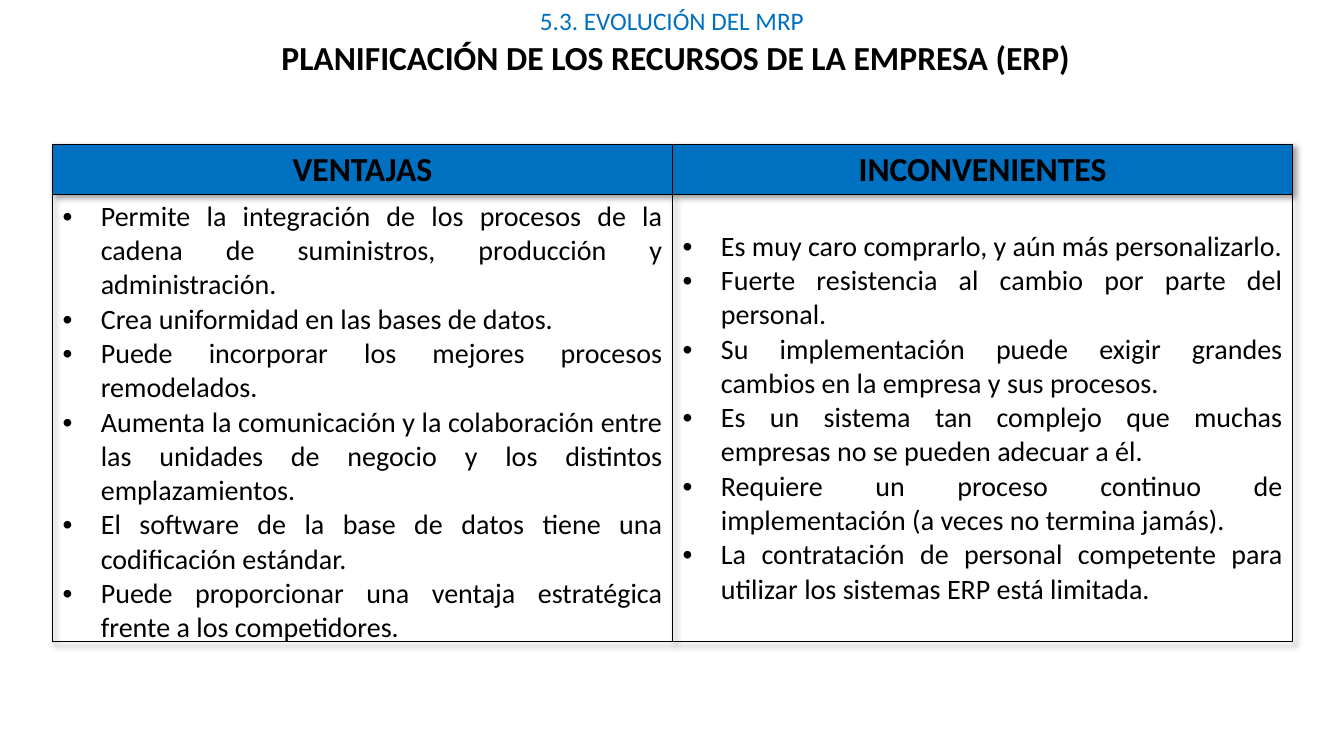
import pptx
import pptx.util
import pptx.dml.color
import pptx.enum.text
import pptx.oxml
import pptx.oxml.ns

PX = 9144
COLORS = {"blue": "0070C0", "black": "000000"}
ALIGN = pptx.enum.text.PP_ALIGN
ANCHOR = pptx.enum.text.MSO_ANCHOR
FORMATS = {
    "section": {"size": 18, "bold": False, "color": "blue", "alignment": ALIGN.CENTER},
    "title": {"size": 24, "bold": True, "color": "black", "alignment": ALIGN.CENTER},
    "item": {"size": 20, "bold": False, "color": "black", "alignment": ALIGN.JUSTIFY},
}
COLUMNS = {
    "VENTAJAS": [
        "Permite la integración de los procesos de la cadena de suministros, producción y administración.",
        "Crea uniformidad en las bases de datos.",
        "Puede incorporar los mejores procesos remodelados.",
        "Aumenta la comunicación y la colaboración entre las unidades de negocio y los distintos emplazamientos.",
        "El software de la base de datos tiene una codificación estándar.",
        "Puede proporcionar una ventaja estratégica frente a los competidores.",
    ],
    "INCONVENIENTES": [
        "Es muy caro comprarlo, y aún más personalizarlo.",
        "Fuerte resistencia al cambio por parte del personal.",
        "Su implementación puede exigir grandes cambios en la empresa y sus procesos.",
        "Es un sistema tan complejo que muchas empresas no se pueden adecuar a él.",
        "Requiere un proceso continuo de implementación (a veces no termina jamás).",
        "La contratación de personal competente para utilizar los sistemas ERP está limitada.",
    ],
}


def px(length):
    """Turn px into EMU."""
    return pptx.util.Emu(length * PX)


def add_xml(parent, tag, attributes="", content=""):
    """Append a drawing element with the given attributes and content."""
    namespace = pptx.oxml.ns.nsdecls("a")
    parent.append(pptx.oxml.parse_xml(f"<a:{tag} {namespace} {attributes}>{content}</a:{tag}>"))


def write(text_frame, lines, style):
    """Fill a text frame with one formatted paragraph per line."""
    text_frame.text = "\n".join(lines)
    values = FORMATS[style]
    for paragraph in text_frame.paragraphs:
        paragraph.alignment = values["alignment"]
        font = paragraph.runs[0].font
        settings = {"name": "Calibri", "size": pptx.util.Pt(values["size"]), "bold": values["bold"]}
        for name, value in settings.items():
            setattr(font, name, value)
        font.color.rgb = pptx.dml.color.RGBColor.from_string(COLORS[values["color"]])


def add_bullets(text_frame):
    """Give every paragraph a hanging round bullet."""
    for paragraph in text_frame.paragraphs:
        properties = paragraph._p.get_or_add_pPr()
        properties.set("marL", str(px(38)))
        properties.set("indent", str(-px(38)))
        add_xml(properties, "buFont", 'typeface="Arial"')
        add_xml(properties, "buChar", 'char="•"')


def draw_heading(slide, left, top, width):
    """Place the section line and the title under it."""
    section = slide.shapes.add_textbox(px(left), px(top), px(width), px(40))
    title = slide.shapes.title
    box = {"left": left + 211, "top": top + 32, "width": width - 422, "height": 50}
    for name, value in box.items():
        setattr(title, name, px(value))
    texts = (
        (section, "5.3. EVOLUCIÓN DEL MRP", "section"),
        (title, " PLANIFICACIÓN DE LOS RECURSOS DE LA EMPRESA (ERP)", "title"),
    )
    for shape, text, style in texts:
        shape.text_frame.word_wrap = True
        shape.text_frame.vertical_anchor = ANCHOR.TOP
        write(shape.text_frame, [text], style)


def format_cell(cell, fill):
    """Set the fill of a cell and its four black borders."""
    line = f'<a:solidFill><a:srgbClr val="{COLORS["black"]}"/></a:solidFill>'
    for side in ("lnL", "lnR", "lnT", "lnB"):
        add_xml(cell._tc.get_or_add_tcPr(), side, 'w="12700"', line)
    if fill:
        cell.fill.solid()
        cell.fill.fore_color.rgb = pptx.dml.color.RGBColor.from_string(COLORS[fill])
    else:
        cell.fill.background()


def add_table_shadow(table):
    """Give the table a soft shadow to the lower right."""
    shadow = (
        '<a:outerShdw blurRad="50800" dist="38100" dir="2700000" algn="tl">'
        f'<a:srgbClr val="{COLORS["black"]}"><a:alpha val="40000"/></a:srgbClr></a:outerShdw>'
    )
    properties = table._tbl.tblPr
    add_xml(properties, "effectLst", content=shadow)
    properties.insert(0, properties[-1])


def draw_comparison(slide, left, top, width, height):
    """Place the two-column table of advantages and drawbacks."""
    frame = slide.shapes.add_table(2, len(COLUMNS), px(left), px(top), px(width), px(82))
    frame.height = px(height)
    table = frame.table
    table.horz_banding = False
    add_table_shadow(table)
    for column, (heading, items) in enumerate(COLUMNS.items()):
        header, body = table.cell(0, column), table.cell(1, column)
        write(header.text_frame, [heading], "title")
        format_cell(header, "blue")
        write(body.text_frame, items, "item")
        add_bullets(body.text_frame)
        body.vertical_anchor = ANCHOR.MIDDLE
        format_cell(body, None)


def main():
    """Build the slide and save it."""
    presentation = pptx.Presentation()
    presentation.slide_width, presentation.slide_height = px(1333), px(750)
    slide = presentation.slides.add_slide(presentation.slide_layouts[5])
    draw_heading(slide, 0, 0, 1333)
    draw_comparison(slide, 52, 143, 1230, 493)
    presentation.save("out.pptx")


if __name__ == "__main__":
    main()
